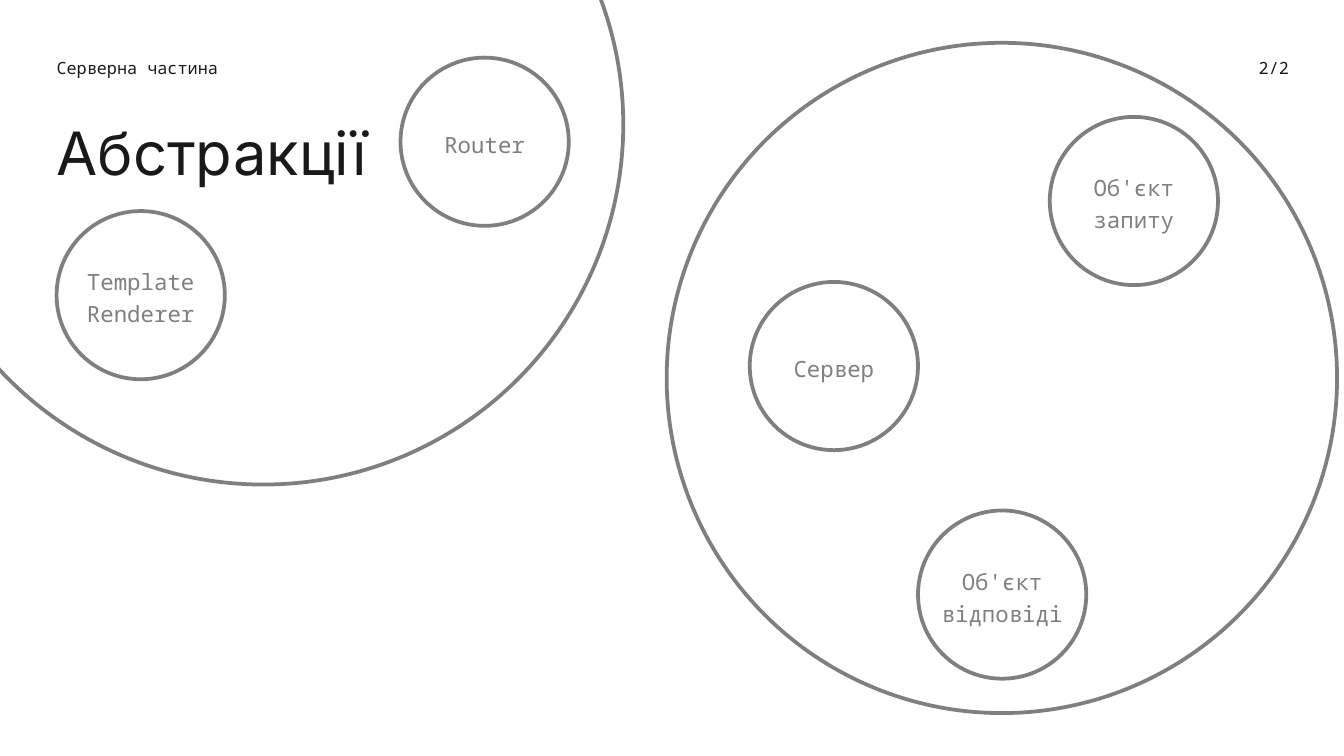
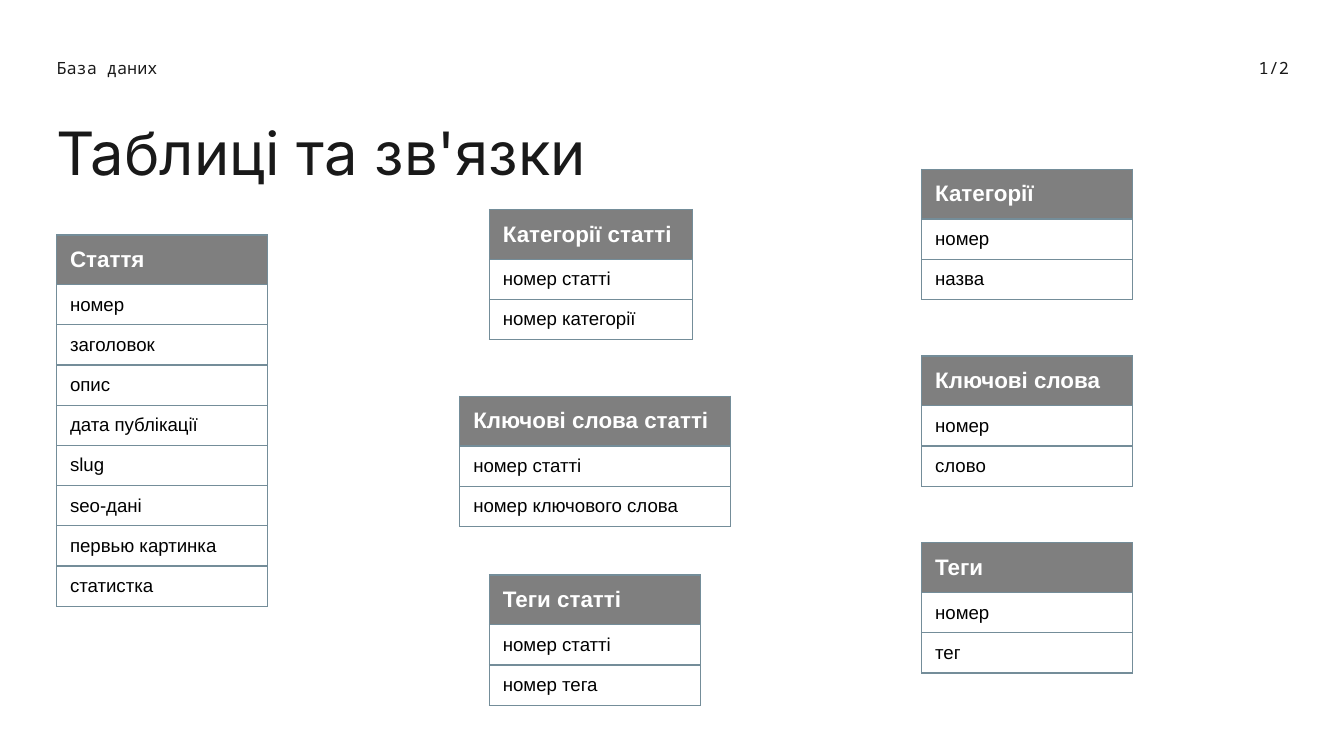
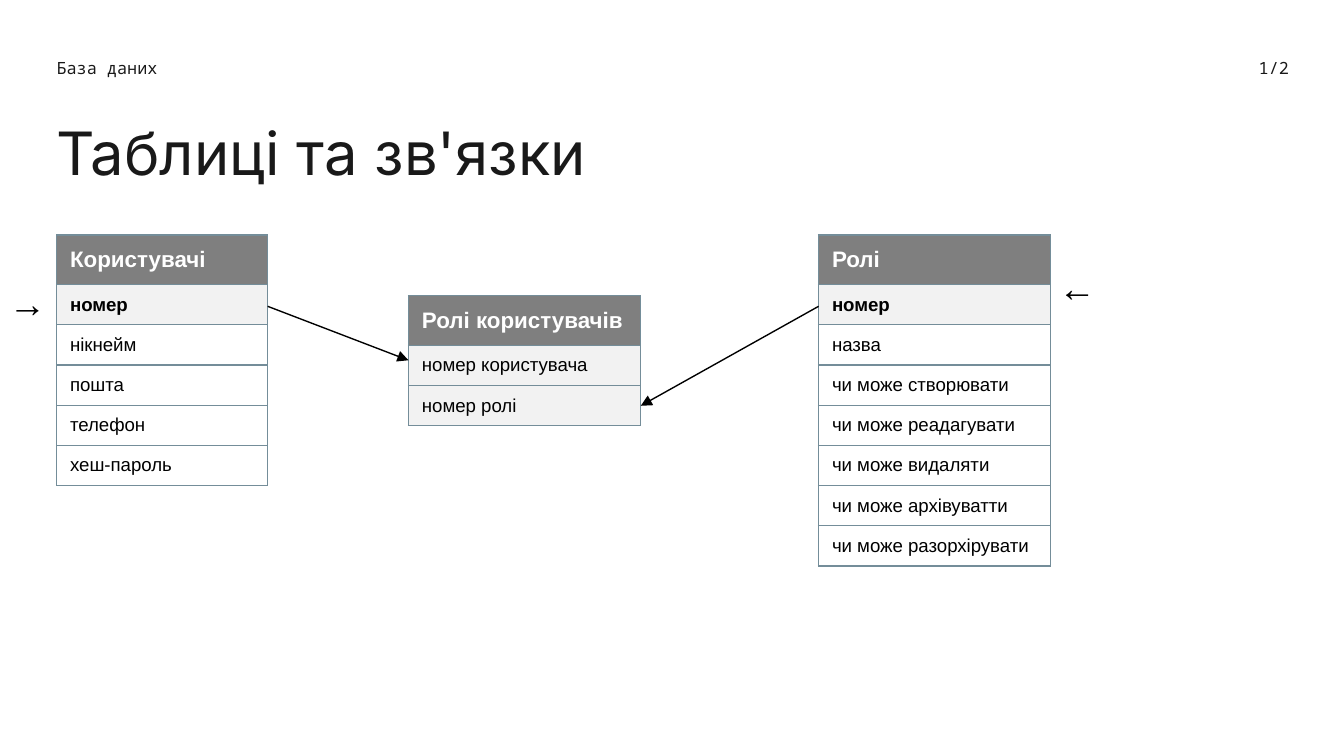
from lxml.etree import SubElement
from pptx import Presentation
from pptx.dml.color import RGBColor
from pptx.enum.shapes import MSO_CONNECTOR, MSO_SHAPE
from pptx.enum.text import MSO_ANCHOR, MSO_AUTO_SIZE, PP_ALIGN
from pptx.oxml.ns import qn
from pptx.util import Cm, Pt

COLORS = {
    "ink": "191919",
    "gray": "7F7F7F",
    "border": "748D99",
    "key": "F2F2F2",
    "white": "FFFFFF",
    "black": "000000",
}
COLORS = {name: RGBColor.from_string(value) for name, value in COLORS.items()}
TITLE_FONT, MONO_FONT, TABLE_FONT = "Inter", "Noto Sans Mono", "Arial"
MARGIN = 1.07
HEADER_ROW, FIELD_ROW = 0.94, 0.76


def add_text(shapes, text, left, top, width, height, font, size, color,
             align=PP_ALIGN.LEFT, spacing=None, inset=0):
    box = shapes.add_textbox(Cm(left), Cm(top), Cm(width), Cm(height))
    frame = box.text_frame
    frame.word_wrap = True
    frame.auto_size = MSO_AUTO_SIZE.SHAPE_TO_FIT_TEXT
    frame.margin_left = frame.margin_right = Cm(inset)
    frame.margin_top = frame.margin_bottom = Cm(inset / 2)
    frame.text = text
    for paragraph in frame.paragraphs:
        paragraph.alignment = align
        paragraph.line_spacing = spacing
        paragraph.font.name = font
        paragraph.font.size = Pt(size)
        paragraph.font.color.rgb = COLORS[color]
    return box


def add_entity(page, left, top, width, name, fields, keys=0, bold_keys=0):
    height = HEADER_ROW + FIELD_ROW * len(fields)
    table = page.shapes.add_table(
        len(fields) + 1, 1, Cm(left), Cm(top), Cm(width), Cm(height)).table
    table.horz_banding = False
    for index, text in enumerate([name, *fields]):
        header = index == 0
        table.rows[index].height = Cm(HEADER_ROW if header else FIELD_ROW)
        cell = table.cell(index, 0)
        cell.text = text
        cell.vertical_anchor = MSO_ANCHOR.MIDDLE
        properties = cell._tc.get_or_add_tcPr()
        for side in ("a:lnL", "a:lnR", "a:lnT", "a:lnB"):
            edge = SubElement(properties, qn(side), w=str(Pt(0.75)))
            fill = SubElement(edge, qn("a:solidFill"))
            SubElement(fill, qn("a:srgbClr"), val=str(COLORS["border"]))
        if header or index <= keys:
            cell.fill.solid()
            cell.fill.fore_color.rgb = COLORS["gray" if header else "key"]
        else:
            cell.fill.background()
        font = cell.text_frame.paragraphs[0].font
        font.name = TABLE_FONT
        font.size = Pt(12 if header else 10)
        font.bold = index <= bold_keys
        font.color.rgb = COLORS["white" if header else "black"]


deck = Presentation()
deck.slide_width, deck.slide_height = Cm(25.4), Cm(14.29)

pages = []
for section, title, title_width, number in [
    ("Серверна частина", "Абстракції", 8.1, "2/2"),
    ("База даних", "Таблиці та зв'язки", 10.31, "1/2"),
    ("База даних", "Таблиці та зв'язки", 10.31, "1/2"),
]:
    page = deck.slides.add_slide(deck.slide_layouts[6])
    add_text(page.shapes, title, MARGIN, 2.18, title_width, 1.37, TITLE_FONT, 32, "ink")
    add_text(page.shapes, section, MARGIN, 1.09, 3.2, 0.38, MONO_FONT, 9, "ink")
    add_text(page.shapes, number, 21.44, 1.09, 2.92, 0.38, MONO_FONT, 9, "ink",
             PP_ALIGN.RIGHT)
    pages.append(page)
abstractions, articles, users = pages

SMALL = 3.18
for label, left, top, diameter, label_width, grouped in [
    ("Сервер", 14.17, 5.33, SMALL, 2.79, True),
    ("Об'єкт\nзапиту", 19.84, 2.21, SMALL, 2.97, False),
    ("Об'єкт\nвідповіді", 17.35, 9.65, SMALL, 2.97, False),
    (None, 12.6, 0.81, 12.67, 0, False),
    ("Router", 7.57, 1.09, SMALL, 2.79, True),
    ("Template\vRenderer", MARGIN, 3.99, SMALL, 2.26, True),
    (None, -1.83, -4.45, 13.61, 0, False),
]:
    shapes = abstractions.shapes
    if grouped:
        shapes = shapes.add_group_shape().shapes
    if label:
        label_height = 0.61 * len(label.splitlines())
        add_text(shapes, label, left + (diameter - label_width) / 2,
                 top + (diameter - label_height) / 2, label_width, label_height,
                 MONO_FONT, 12, "gray", PP_ALIGN.CENTER, 1.2)
    circle = shapes.add_shape(
        MSO_SHAPE.OVAL, Cm(left), Cm(top), Cm(diameter), Cm(diameter))
    circle.shadow.inherit = False
    circle.fill.background()
    circle.line.color.rgb = COLORS["gray"]
    circle.line.width = Pt(2)

add_entity(articles, MARGIN, 4.44, 3.99, "Стаття", [
    "номер", "заголовок", "опис", "дата публікації", "slug", "seo-дані",
    "первью картинка", "статистка"])
for index, (name, field) in enumerate([
    ("Категорії", "назва"), ("Ключові слова", "слово"), ("Теги", "тег"),
]):
    add_entity(articles, 17.42, 3.2 + 3.53 * index, 3.99, name, ["номер", field])
for left, top, width, name, field in [
    (9.25, 3.96, 3.84, "Категорії статті", "номер категорії"),
    (8.69, 7.49, 5.11, "Ключові слова статті", "номер ключового слова"),
    (9.25, 10.87, 3.99, "Теги статті", "номер тега"),
]:
    add_entity(articles, left, top, width, name, ["номер статті", field])

add_entity(users, MARGIN, 4.44, 3.99, "Користувачі", [
    "номер", "нікнейм", "пошта", "телефон", "хеш-пароль"], 1, 1)
add_entity(users, 15.47, 4.44, 4.39, "Ролі", [
    "номер", "назва", "чи може створювати", "чи може реадагувати",
    "чи може видаляти", "чи може архівуватти", "чи може разорхірувати"], 1, 1)
add_entity(users, 7.72, 5.59, 4.39, "Ролі користувачів", [
    "номер користувача", "номер ролі"], 2)

for left, rotation in [(-0.08, 0), (20.07, 180)]:
    pointer = add_text(users.shapes, "→", left, 5.18, 0.89, 1.12, TABLE_FONT, 20,
                       "black", inset=0.25)
    pointer.rotation = rotation

for start_x, start_y, end_x, end_y in [
    (5.06, 5.79, 7.72, 6.81),
    (15.47, 5.79, 12.11, 7.67),
]:
    relation = users.shapes.add_connector(
        MSO_CONNECTOR.STRAIGHT, Cm(start_x), Cm(start_y), Cm(end_x), Cm(end_y))
    relation.line.color.rgb = COLORS["black"]
    relation.line.width = Pt(0.75)
    SubElement(relation.line._get_or_add_ln(), qn("a:tailEnd"), type="triangle")
    SubElement(relation._element.spPr, qn("a:effectLst"))

deck.save("out.pptx")
